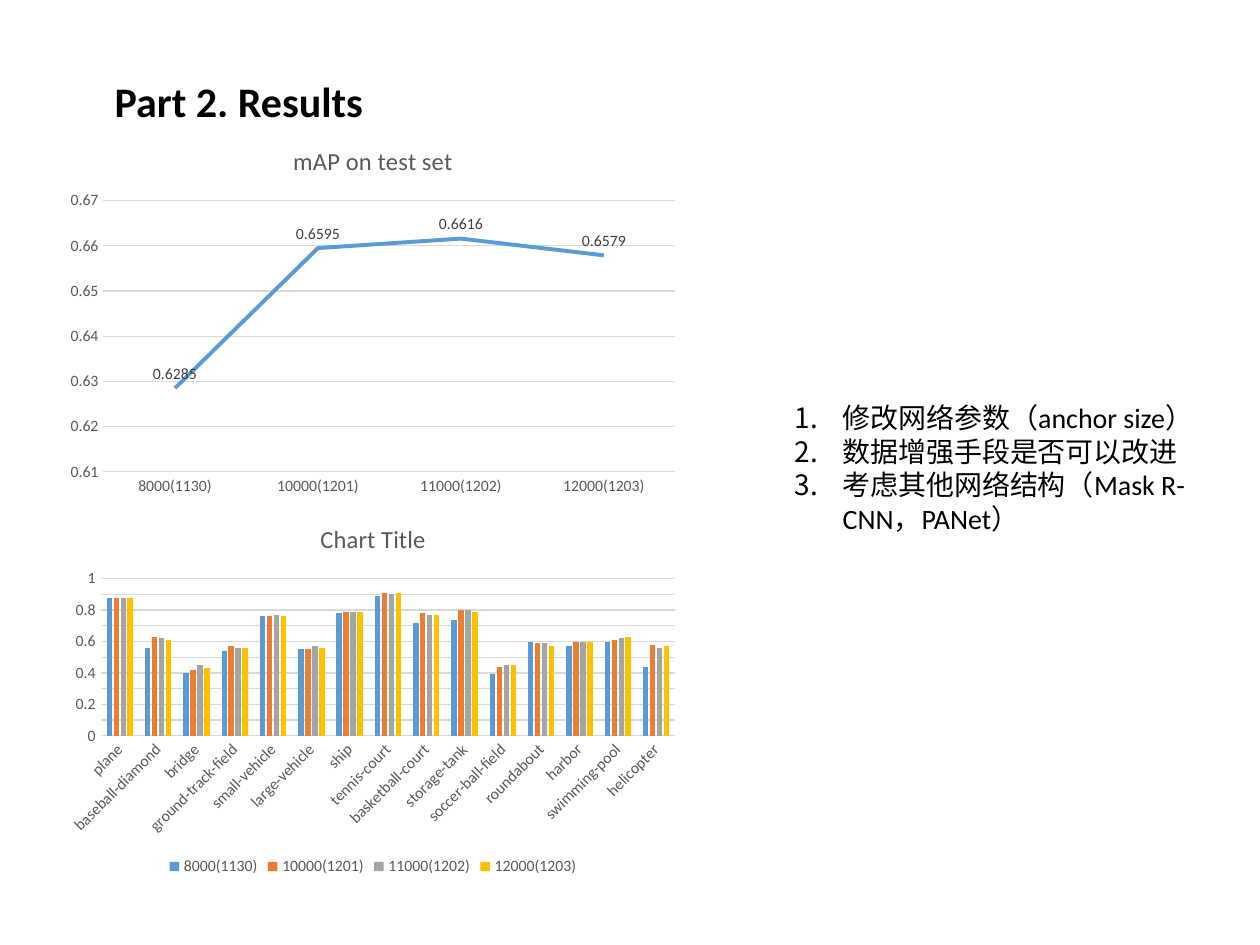
from lxml import etree
from pptx import Presentation
from pptx.chart.data import CategoryChartData
from pptx.dml.color import RGBColor
from pptx.enum.chart import XL_CHART_TYPE, XL_LABEL_POSITION, XL_LEGEND_POSITION, XL_MARKER_STYLE, XL_TICK_MARK
from pptx.enum.text import MSO_ANCHOR, MSO_AUTO_SIZE, PP_ALIGN
from pptx.oxml.ns import qn
from pptx.util import Inches, Pt

LINE = XL_CHART_TYPE.LINE
COLUMN = XL_CHART_TYPE.COLUMN_CLUSTERED
NO_TICK = XL_TICK_MARK.NONE
NO_MARK = XL_MARKER_STYLE.NONE
ABOVE = XL_LABEL_POSITION.ABOVE
BOTTOM = XL_LEGEND_POSITION.BOTTOM
TOP = MSO_ANCHOR.TOP
LEFT = PP_ALIGN.LEFT
GROW = MSO_AUTO_SIZE.SHAPE_TO_FIT_TEXT

FONT = "Calibri"
BLACK, GREY, DARK, PALE = "000000", "595959", "404040", "D9D9D9"
COLORS = ["5B9BD5", "ED7D31", "A5A5A5", "FFC000"]

RUNS = ["8000(1130)", "10000(1201)", "11000(1202)", "12000(1203)"]
MEANS = [0.6285, 0.6595, 0.6616, 0.6579]
SCORES = {
    "plane": (0.88, 0.88, 0.88, 0.88),
    "baseball-diamond": (0.56, 0.63, 0.62, 0.61),
    "bridge": (0.4, 0.42, 0.45, 0.43),
    "ground-track-field": (0.54, 0.57, 0.56, 0.56),
    "small-vehicle": (0.76, 0.76, 0.77, 0.76),
    "large-vehicle": (0.55, 0.55, 0.57, 0.56),
    "ship": (0.78, 0.79, 0.79, 0.79),
    "tennis-court": (0.89, 0.91, 0.9, 0.91),
    "basketball-court": (0.72, 0.78, 0.77, 0.77),
    "storage-tank": (0.74, 0.8, 0.8, 0.79),
    "soccer-ball-field": (0.39, 0.44, 0.45, 0.45),
    "roundabout": (0.6, 0.59, 0.59, 0.57),
    "harbor": (0.57, 0.6, 0.6, 0.6),
    "swimming-pool": (0.6, 0.61, 0.62, 0.63),
    "helicopter": (0.44, 0.58, 0.56, 0.57),
}
STEPS = [
    "修改网络参数（anchor size）",
    "数据增强手段是否可以改进",
    "考虑其他网络结构（Mask R-CNN，PANet）",
]


def rgb(code):
    return RGBColor.from_string(code)


def style(font, size, color, bold=False):
    font.name = FONT
    font.size = Pt(size)
    font.bold = bold
    font.color.rgb = rgb(color)


def rule(line, color, width):
    line.color.rgb = rgb(color)
    line.width = Pt(width)


def add_title(slide, box):
    title = slide.shapes.title
    title.left, title.top, title.width, title.height = map(Inches, box)
    frame = title.text_frame
    frame.text = "Part 2. Results"
    frame.word_wrap = True
    frame.auto_size = GROW
    frame.vertical_anchor = TOP
    para = frame.paragraphs[0]
    para.alignment = LEFT
    style(para.runs[0].font, 24, BLACK, True)


def add_graph(slide, box, kind, title, cats, series, low, high, unit):
    data = CategoryChartData()
    data.categories = cats
    for name, vals in series:
        data.add_series(name, vals)
    chart = slide.shapes.add_chart(kind, *map(Inches, box), data).chart
    style(chart.font, 10, BLACK)
    chart.has_legend = False
    chart.has_title = True
    frame = chart.chart_title.text_frame
    frame.text = title
    style(frame.paragraphs[0].runs[0].font, 14, GREY)
    chart.chart_title.include_in_layout = False
    for axis in (chart.category_axis, chart.value_axis):
        axis.major_tick_mark = axis.minor_tick_mark = NO_TICK
        style(axis.tick_labels.font, 9, GREY)
    rule(chart.category_axis.format.line, PALE, 0.75)
    axis = chart.value_axis
    axis.minimum_scale, axis.maximum_scale, axis.major_unit = low, high, unit
    axis.format.line.fill.background()
    rule(axis.major_gridlines.format.line, PALE, 0.75)
    chart.plots[0].vary_by_categories = False
    return chart


def add_means(slide, box):
    chart = add_graph(slide, box, LINE, "mAP on test set", RUNS,
                      [("Series 1", MEANS)], 0.61, 0.67, 0.01)
    trend = chart.plots[0].series[0]
    trend.smooth = False
    trend.marker.style = NO_MARK
    rule(trend.format.line, COLORS[0], 2.25)
    labels = trend.data_labels
    labels.show_value = True
    labels.position = ABOVE
    style(labels.font, 9, DARK)


def add_scores(slide, box):
    series = list(zip(RUNS, zip(*SCORES.values())))
    chart = add_graph(slide, box, COLUMN, "Chart Title", list(SCORES),
                      series, 0, 1, 0.1)
    plot = chart.plots[0]
    plot.gap_width = 219
    plot.overlap = -27
    for bars, color in zip(plot.series, COLORS):
        bars.format.fill.solid()
        bars.format.fill.fore_color.rgb = rgb(color)
    chart.category_axis._element.txPr.bodyPr.set("rot", "-2700000")
    chart.has_legend = True
    chart.legend.position = BOTTOM
    chart.legend.include_in_layout = False
    style(chart.legend.font, 9, GREY)


def add_steps(slide, box):
    frame = slide.shapes.add_textbox(*map(Inches, box)).text_frame
    frame.text = "\n".join(STEPS)
    frame.word_wrap = True
    frame.auto_size = GROW
    for para in frame.paragraphs:
        style(para.runs[0].font, 16, BLACK)
        props = para._p.get_or_add_pPr()
        props.set("marL", str(Inches(0.38)))
        props.set("indent", str(Inches(-0.38)))
        etree.SubElement(props, qn("a:buFont"), typeface="+mj-lt")
        etree.SubElement(props, qn("a:buAutoNum"), type="arabicPeriod")


def main():
    deck = Presentation()
    deck.slide_width, deck.slide_height = Inches(10), Inches(7.5)
    slide = deck.slides.add_slide(deck.slide_layouts[5])
    add_title(slide, (0.81, 0.55, 4.3, 0.5))
    add_means(slide, (0.46, 0.99, 5, 3))
    add_scores(slide, (0.46, 3.99, 5, 3))
    add_steps(slide, (6.21, 3.13, 3.45, 1.18))
    deck.save("out.pptx")


if __name__ == "__main__":
    main()
